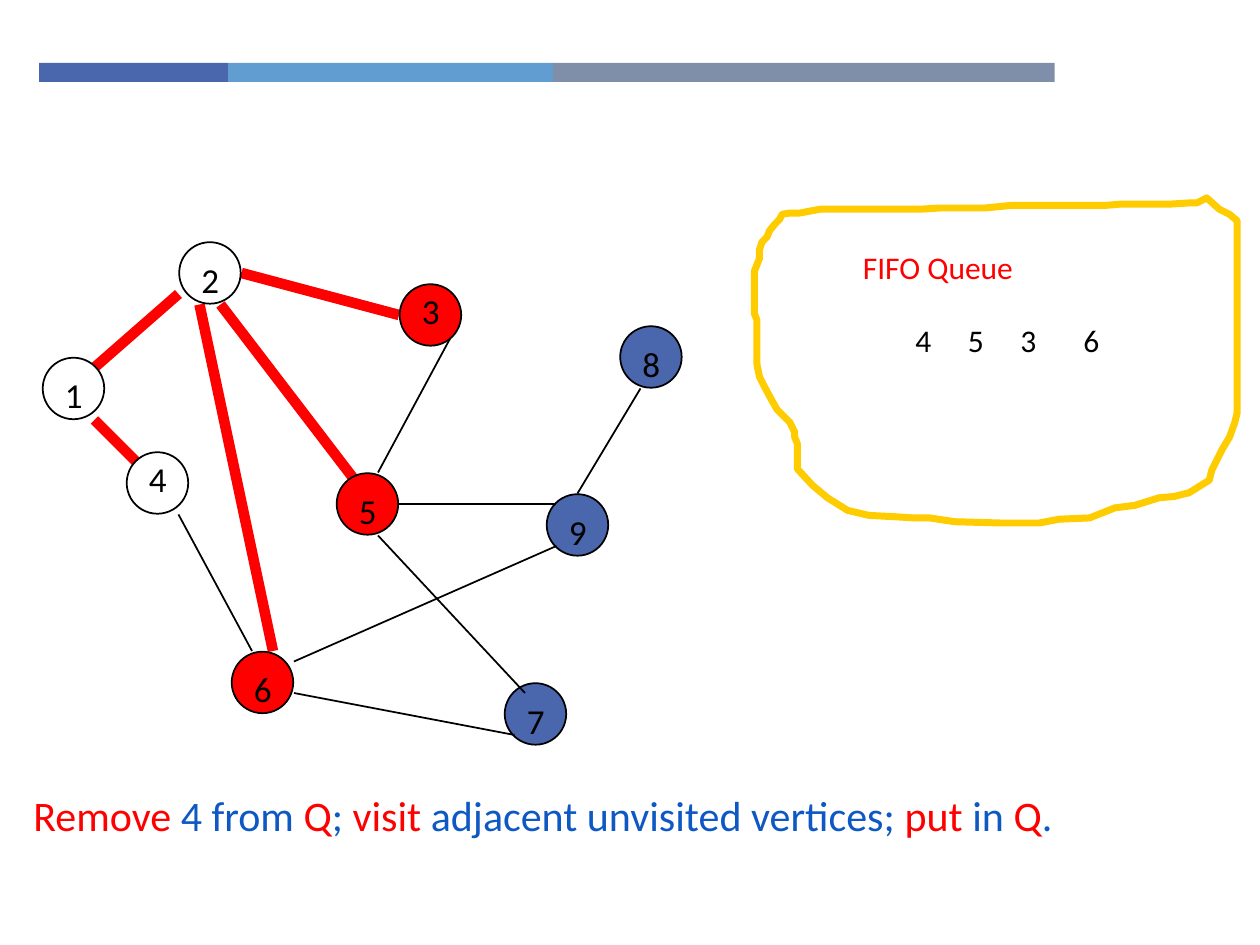
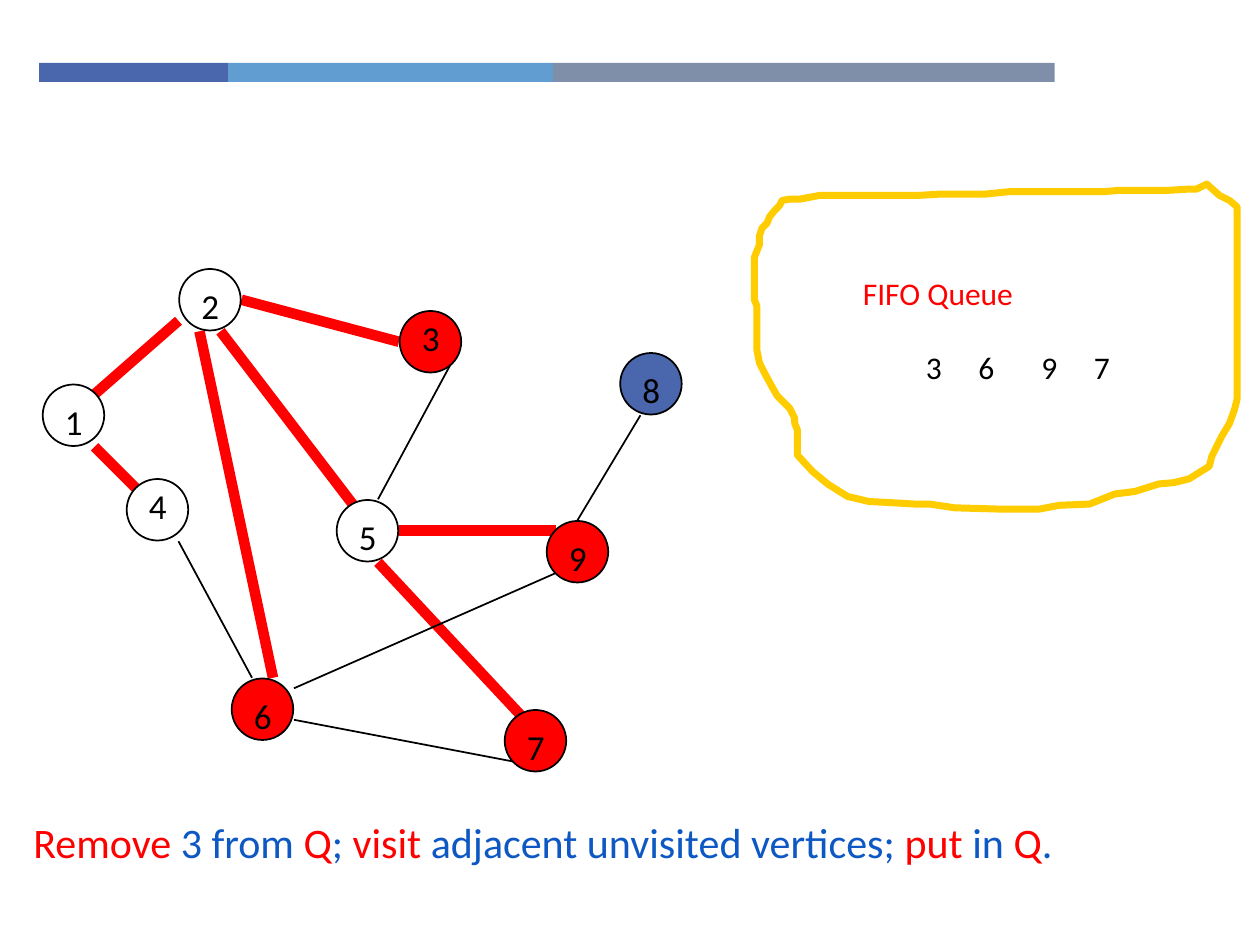
from itertools import cycle

from lxml.etree import SubElement
from pptx import Presentation
from pptx.dml.color import RGBColor
from pptx.enum.shapes import MSO_CONNECTOR, MSO_SHAPE
from pptx.oxml.ns import qn
from pptx.util import Cm, Pt

COLORS = {
    "indigo": "4A66AC",
    "sky": "629DD1",
    "slate": "7F8FA9",
    "red": "FF0000",
    "blue": "0E58C4",
    "gold": "FFCC00",
    "black": "000000",
    "white": "FFFFFF",
}
FONT = "Calibri"
GRID = 2.54 / 12
NODE_SIZE = 1.24

BANDS = [("indigo", 3.81), ("sky", 6.55), ("slate", 10.11)]

NODES = {
    "1": (7, 37), "2": (20, 26), "3": (41, 30),
    "4": (15, 46), "5": (35, 48), "6": (25, 65),
    "7": (51, 68), "8": (62, 34), "9": (55, 50),
}
RAISED_LABELS = "34"

EDGES = {
    "12": (17, 28, 9, 35),
    "25": (21, 29, 34, 46),
    "14": (9, 40, 13, 44),
    "46": (17, 49, 24, 62),
    "67": (28, 66, 49, 70),
    "35": (43, 32, 36, 45),
    "57": (36, 51, 50, 66),
    "89": (61, 37, 55, 47),
    "59": (38, 48, 53, 48),
    "23": (23, 26, 38, 30),
    "26": (19, 29, 26, 62),
    "69": (28, 63, 53, 52),
}

QUEUE_OUTLINE = [
    (359, 0), (351, 4), (345, 4), (329, 5), (290, 5), (278, 6), (203, 6),
    (183, 8), (147, 8), (131, 9), (52, 9), (36, 12), (28, 12), (22, 13),
    (20, 17), (16, 21), (12, 26), (10, 31), (6, 35), (4, 41), (4, 48),
    (0, 58), (0, 92), (2, 97), (2, 132), (4, 142), (8, 150), (14, 161),
    (18, 168), (22, 172), (28, 178), (32, 186), (32, 190), (34, 195),
    (34, 215), (46, 228), (58, 238), (74, 248), (91, 252), (111, 253),
    (127, 254), (139, 254), (159, 257), (195, 258), (226, 258), (242, 255),
    (266, 254), (286, 246), (302, 244), (321, 238), (333, 237), (345, 234),
    (361, 224), (363, 216), (367, 208), (371, 200), (377, 190), (381, 179),
    (383, 171), (383, 18), (377, 13), (369, 9), (359, 0),
]

STEPS = [
    {
        "removed": "4", "shift": 0, "outline_top": 3.99,
        "finished": "124", "queued": "356",
        "tree": ["12", "25", "14", "23", "26"],
        "queue": [("4", 86), ("5", 91), ("3", 96), ("6", 102)],
    },
    {
        "removed": "3", "shift": 0.54, "outline_top": 3.71,
        "finished": "1245", "queued": "3679",
        "tree": ["12", "25", "14", "23", "26", "57", "59"],
        "queue": [("3", 87), ("6", 92), ("9", 98), ("7", 103)],
    },
]


def rgb(name):
    return RGBColor.from_string(COLORS[name])


def add_text(slide, left, top, width, height, pieces, size):
    box = slide.shapes.add_textbox(Cm(left), Cm(top), Cm(width), Cm(height))
    box.text_frame.word_wrap = True
    para = box.text_frame.paragraphs[0]
    for words, color in pieces:
        span = para.add_run()
        span.text = words
        span.font.name = FONT
        span.font.size = Pt(size)
        span.font.color.rgb = rgb(color)


deck = Presentation()
deck.slide_width = Cm(25.4)
deck.slide_height = Cm(19.05)
layout = deck.slide_layouts[6]
pages = [deck.slides.add_slide(layout) for step in STEPS]

band_left = 0.79
for color, width in BANDS:
    band = pages[0].shapes.add_shape(
        MSO_SHAPE.RECTANGLE, Cm(band_left), Cm(1.27), Cm(width), Cm(0.38))
    band.shadow.inherit = False
    band.fill.solid()
    band.fill.fore_color.rgb = rgb(color)
    band.line.fill.background()
    layout.shapes.element.append(band.element)
    band_left += width

for page, step in zip(pages, STEPS):
    shift = step["shift"]
    reached = step["finished"] + step["queued"]
    unvisited = [name for name in NODES if name not in reached]

    for item in unvisited + list(EDGES) + list(reached):
        if item in EDGES:
            x1, y1, x2, y2 = [value * GRID for value in EDGES[item]]
            edge = page.shapes.add_connector(
                MSO_CONNECTOR.STRAIGHT,
                Cm(x1), Cm(y1 + shift), Cm(x2), Cm(y2 + shift))
            in_tree = item in step["tree"]
            edge.line.color.rgb = rgb("red" if in_tree else "black")
            edge.line.width = Pt(6 if in_tree else 1)
            SubElement(edge.element.spPr, qn("a:effectLst"))
            continue
        x, y = [value * GRID for value in NODES[item]]
        node = page.shapes.add_shape(
            MSO_SHAPE.OVAL, Cm(x - NODE_SIZE / 2), Cm(y + shift - NODE_SIZE / 2),
            Cm(NODE_SIZE), Cm(NODE_SIZE))
        node.shadow.inherit = False
        node.fill.solid()
        if item in step["finished"]:
            node.fill.fore_color.rgb = rgb("white")
        elif item in step["queued"]:
            node.fill.fore_color.rgb = rgb("red")
        else:
            node.fill.fore_color.rgb = rgb("indigo")
        node.line.color.rgb = rgb("black")
        node.line.width = Pt(1)

    for name, (column, row) in NODES.items():
        rise = 3 if name in RAISED_LABELS else 2
        add_text(page, (column - 2) * GRID, (row - rise) * GRID + shift,
                 3 * GRID, 1.1, [(name, "black")], 20)

    builder = page.shapes.build_freeform(*QUEUE_OUTLINE[0], scale=Cm(2.54) / 100)
    builder.add_line_segments(QUEUE_OUTLINE[1:], close=False)
    outline = builder.convert_to_shape(Cm(15.21), Cm(step["outline_top"]))
    outline.shadow.inherit = False
    outline.fill.background()
    outline.line.color.rgb = rgb("gold")
    outline.line.width = Pt(4)

    add_text(page, 81 * GRID, 23 * GRID + shift, 37 * GRID, 2.18,
             [("FIFO Queue", "red")], 18)
    for name, column in step["queue"]:
        add_text(page, column * GRID, 30 * GRID + shift, 5 * GRID, 1.6,
                 [(name, "black")], 18)

    caption = ["Remove", f" {step['removed']} from ", "Q", "; ", "visit",
               " adjacent unvisited vertices; ", "put", " in ", "Q", "."]
    add_text(page, 2 * GRID, 15.8 + shift, 118 * GRID, 1.98,
             zip(caption, cycle(["red", "blue"])), 24)

deck.save("out.pptx")
